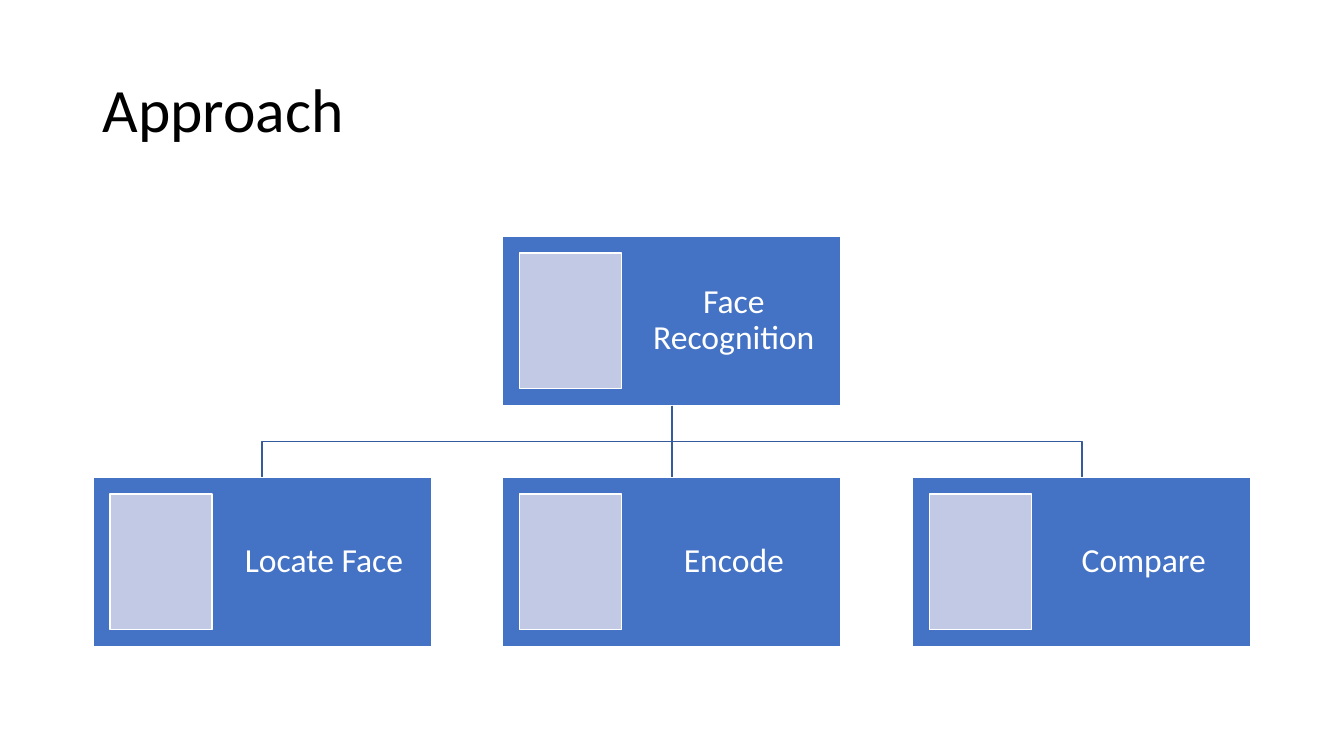
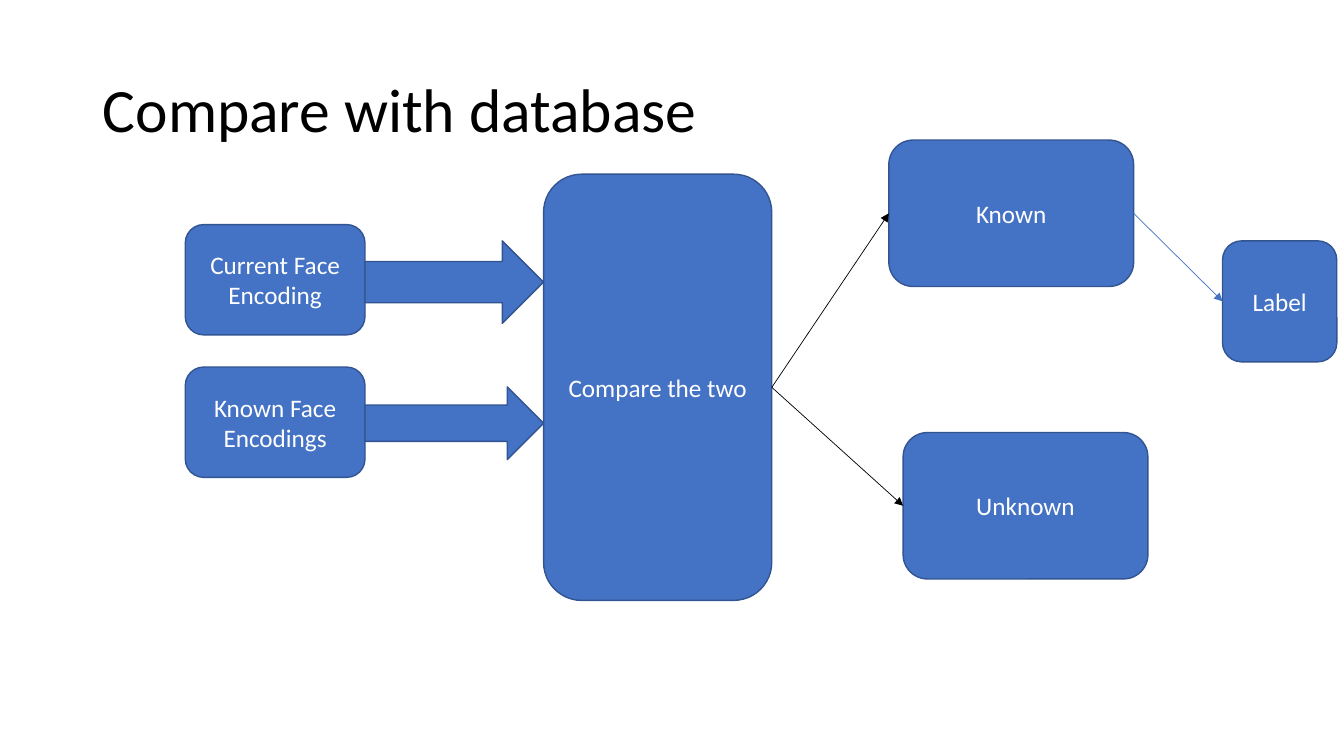
from dataclasses import dataclass
from typing import NamedTuple

from lxml.etree import SubElement
from pptx import Presentation
from pptx.dml.color import RGBColor
from pptx.enum.shapes import MSO_CONNECTOR as Connector, MSO_SHAPE as Preset
from pptx.enum.text import MSO_ANCHOR as Anchor, PP_ALIGN as Align
from pptx.oxml.ns import qn
from pptx.shapes.autoshape import Shape
from pptx.slide import Slide
from pptx.util import Cm, Pt

TOP, LEFT, BOTTOM, RIGHT = range(4)


@dataclass(frozen=True)
class Theme:
    font: str = "Calibri"
    black: RGBColor = RGBColor.from_string("000000")
    white: RGBColor = RGBColor.from_string("FFFFFF")
    blue: RGBColor = RGBColor.from_string("4472C4")
    outline: RGBColor = RGBColor.from_string("325491")
    branch: RGBColor = RGBColor.from_string("365B9D")
    panel: RGBColor = RGBColor.from_string("C1C9E4")
    title_size: int = 44
    card_size: int = 24
    box_size: int = 18
    line: float = 1
    thin_line: float = 0.5


THEME = Theme()


class Box(NamedTuple):
    """A rectangle in centimetres."""
    left: float
    top: float
    width: float
    height: float

    def lengths(self) -> list[Cm]:
        return [Cm(value) for value in self]


TITLE = Box(2.34, 1, 29.21, 3.68)

CARD_LEFT, CARD_STEP = 2.34, 10.33
CARD_WIDTH, CARD_HEIGHT = 8.53, 4.27
ROOT_TOP, STEPS_TOP = 5.95, 12.02
PANEL_INSET, PANEL_WIDTH = 0.43, 2.57
STEPS = ("Locate Face", "Encode", "Compare")

CURRENT = Box(4.67, 5.66, 4.53, 2.78)
KNOWN_FACES = CURRENT._replace(top=9.25)
COMPARE = Box(13.7, 4.39, 5.75, 10.74)
KNOWN = Box(22.4, 3.53, 6.17, 3.69)
UNKNOWN = KNOWN._replace(left=22.76, top=10.9)
LABEL = Box(30.81, 6.07, 2.88, 3.05)
ARROW_LEFT = CURRENT.left + CURRENT.width
ARROWS = [
    Box(ARROW_LEFT, top, COMPARE.left - ARROW_LEFT, height)
    for top, height in ((6.07, 2.08), (9.75, 1.83))
]


def write(shape: Shape, text: str, size: int, color: RGBColor,
          align: Align, spacing: float = 1) -> None:
    frame = shape.text_frame
    frame.word_wrap = True
    frame.vertical_anchor = Anchor.MIDDLE
    paragraph = frame.paragraphs[0]
    paragraph.text = text
    paragraph.alignment = align
    paragraph.line_spacing = spacing
    paragraph.font.name = THEME.font
    paragraph.font.size = Pt(size)
    paragraph.font.color.rgb = color


def add_titled_slide(presentation: Presentation, title: str) -> Slide:
    slide = presentation.slides.add_slide(presentation.slide_layouts[6])
    shape = slide.shapes.add_textbox(*TITLE.lengths())
    write(shape, title, THEME.title_size, THEME.black, Align.LEFT, 0.9)
    return slide


def add_filled(slide: Slide, preset: Preset, box: Box,
               fill: RGBColor, line: RGBColor) -> Shape:
    shape = slide.shapes.add_shape(preset, *box.lengths())
    shape.shadow.inherit = False
    shape.fill.solid()
    shape.fill.fore_color.rgb = fill
    shape.line.color.rgb = line
    shape.line.width = Pt(THEME.line)
    return shape


def add_card(slide: Slide, text: str, column: int, top: float) -> Shape:
    """Add a chart card with a pale panel at its left."""
    box = Box(CARD_LEFT + column * CARD_STEP, top, CARD_WIDTH, CARD_HEIGHT)
    card = add_filled(slide, Preset.RECTANGLE, box, THEME.blue, THEME.white)
    write(card, text, THEME.card_size, THEME.white, Align.CENTER, 0.9)
    frame = card.text_frame
    frame.margin_left = Cm(3.18)
    frame.margin_right = frame.margin_top = frame.margin_bottom = Cm(0.06)
    panel = Box(box.left + PANEL_INSET, top + PANEL_INSET,
                PANEL_WIDTH, CARD_HEIGHT - 2 * PANEL_INSET)
    add_filled(slide, Preset.RECTANGLE, panel, THEME.panel, THEME.white)
    return card


def add_rounded(slide: Slide, text: str, box: Box) -> Shape:
    shape = add_filled(slide, Preset.ROUNDED_RECTANGLE, box, THEME.blue, THEME.outline)
    write(shape, text, THEME.box_size, THEME.white, Align.CENTER)
    return shape


def join(slide: Slide, start: Shape, start_side: int, end: Shape, end_side: int,
         color: RGBColor, width: float, arrow: bool = False) -> None:
    connector = slide.shapes.add_connector(Connector.STRAIGHT, 0, 0, 0, 0)
    connector.begin_connect(start, start_side)
    connector.end_connect(end, end_side)
    connector.line.color.rgb = color
    connector.line.width = Pt(width)
    if arrow:
        SubElement(connector.line._get_or_add_ln(), qn("a:tailEnd"), type="triangle")
    SubElement(connector._element.spPr, qn("a:effectLst"))


def add_elbow(slide: Slide, parent: Shape, child: Shape) -> None:
    """Draw a stepped branch from the parent's bottom to the child's top."""
    start_x, end_x = (shape.left + shape.width // 2 for shape in (parent, child))
    start_y = parent.top + parent.height
    middle_y = (start_y + child.top) // 2
    builder = slide.shapes.build_freeform(start_x, start_y)
    builder.add_line_segments(
        [(start_x, middle_y), (end_x, middle_y), (end_x, child.top)], close=False)
    elbow = builder.convert_to_shape()
    elbow.shadow.inherit = False
    elbow.fill.background()
    elbow.line.color.rgb = THEME.branch
    elbow.line.width = Pt(THEME.line)


def build_approach(presentation: Presentation) -> None:
    slide = add_titled_slide(presentation, "Approach")
    root = add_card(slide, "Face Recognition", 1, ROOT_TOP)
    for column, text in enumerate(STEPS):
        card = add_card(slide, text, column, STEPS_TOP)
        if card.left == root.left:
            join(slide, root, BOTTOM, card, TOP, THEME.branch, THEME.line)
        else:
            add_elbow(slide, root, card)


def build_comparison(presentation: Presentation) -> None:
    slide = add_titled_slide(presentation, "Compare with database")
    add_rounded(slide, "Current Face Encoding", CURRENT)
    add_rounded(slide, "Known Face Encodings", KNOWN_FACES)
    for box in ARROWS:
        add_filled(slide, Preset.RIGHT_ARROW, box, THEME.blue, THEME.outline)
    compare = add_rounded(slide, "Compare the two", COMPARE)
    known = add_rounded(slide, "Known", KNOWN)
    unknown = add_rounded(slide, "Unknown", UNKNOWN)
    label = add_rounded(slide, "Label", LABEL)
    for start, end, color in (
        (compare, known, THEME.black),
        (compare, unknown, THEME.black),
        (known, label, THEME.blue),
    ):
        join(slide, start, RIGHT, end, LEFT, color, THEME.thin_line, arrow=True)


def main() -> None:
    presentation = Presentation()
    presentation.slide_width = Cm(33.87)
    presentation.slide_height = Cm(19.05)
    build_approach(presentation)
    build_comparison(presentation)
    presentation.save("out.pptx")


if __name__ == "__main__":
    main()
